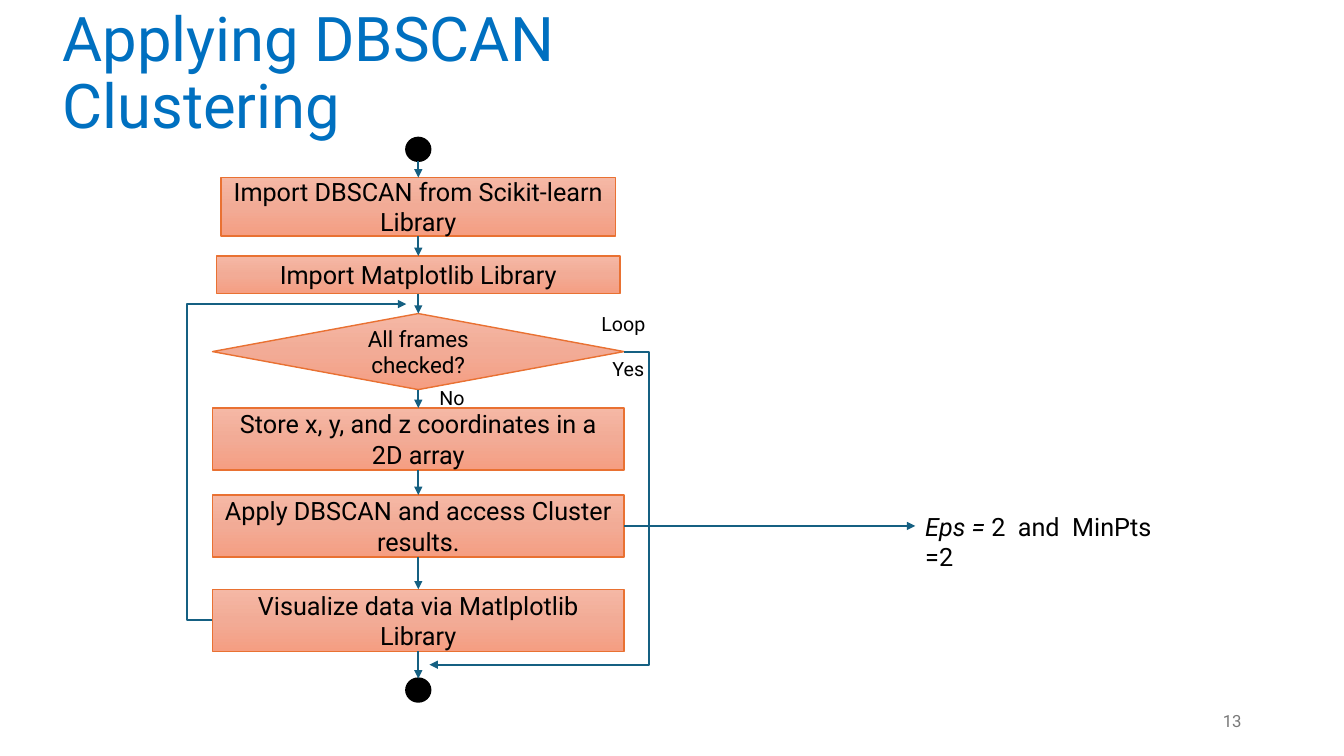
from copy import deepcopy

from pptx import Presentation
from pptx import util as u
from pptx.dml.color import RGBColor
from pptx.enum import shapes, text
from pptx.oxml.ns import qn
from pptx.oxml.xmlchemy import OxmlElement

FONT = "Roboto"
BLACK, BLUE, GREY = "000000", "0070C0", "797979"
ORANGE, TEAL = "E97132", "156082"
GRADIENT = ((0, "F5B8A5"), (0.5, "F2AB96"), (1, "F59E82"))
KIND = shapes.MSO_SHAPE
ALIGN, ANCHOR = text.PP_ALIGN, text.MSO_ANCHOR
TOP, BOTTOM, RIGHT = 0, 2, 3

# Kind, width, top, height, text size and wording of each step
STEPS = (
    (KIND.RECTANGLE, 282, 126.8, 41.8, 18, "Import DBSCAN from Scikit-learn Library"),
    (KIND.RECTANGLE, 288, 182.8, 27, 18, "Import Matplotlib Library"),
    (KIND.DIAMOND, 294, 224, 54.3, 16, "All frames checked?"),
    (KIND.RECTANGLE, 294, 291.5, 44.2, 18, "Store x, y, and z coordinates in a 2D array"),
    (KIND.RECTANGLE, 294, 353.6, 44.2, 18, "Apply DBSCAN and access Cluster results."),
    (KIND.RECTANGLE, 294, 421, 44.2, 18, "Visualize data via Matlplotlib Library"),
)


def color(value):
    return RGBColor.from_string(value)


def place(*lengths):
    return [u.Pt(length) for length in lengths]


def write(shape, *runs, size=18, fill=BLACK, align=ALIGN.LEFT,
          anchor=ANCHOR.TOP, wrap=True, spacing=None):
    """Fill a shape with one paragraph; each run is (wording, italic)."""
    frame = shape.text_frame
    frame.word_wrap = wrap
    frame.vertical_anchor = anchor
    paragraph = frame.paragraphs[0]
    paragraph.alignment = align
    paragraph.line_spacing = spacing
    for wording, italic in runs:
        run = paragraph.add_run()
        run.text = wording
        run.font.name = FONT
        run.font.size = u.Pt(size)
        run.font.italic = italic
        run.font.color.rgb = color(fill)


def add_text(slide, box, *runs, **style):
    write(slide.shapes.add_textbox(*place(*box)), *runs, **style)


def add_step(slide, kind, box, size, wording):
    shape = slide.shapes.add_shape(kind, *place(*box))
    shape.shadow.inherit = False
    shape.line.color.rgb = color(ORANGE)
    shape.line.width = u.Pt(1)
    shape.fill.gradient()
    shape.fill.gradient_angle = 270
    stops = shape._element.spPr.find(".//" + qn("a:gsLst"))
    stops.insert(1, deepcopy(stops[0]))
    for stop, (position, value) in zip(shape.fill.gradient_stops, GRADIENT):
        stop.position = position
        stop.color.rgb = color(value)
    write(shape, (wording, False), size=size, align=ALIGN.CENTER, anchor=ANCHOR.MIDDLE)
    return shape


def add_dot(slide, center, top):
    width, height = 17.3, 16.6
    dot = slide.shapes.add_shape(
        KIND.OVAL, *place(center - width / 2, top, width, height))
    dot.shadow.inherit = False
    dot.fill.solid()
    dot.fill.fore_color.rgb = color(BLACK)
    dot.line.color.rgb = color(BLACK)
    dot.line.width = u.Pt(1.5)
    return dot


def add_arrow(slide, start, end, bend=None):
    """Draw an arrow; bend is the x of the upright part of an elbow."""
    kinds = shapes.MSO_CONNECTOR
    kind = kinds.STRAIGHT if bend is None else kinds.ELBOW
    arrow = slide.shapes.add_connector(kind, *place(*start, *end))
    arrow.line.color.rgb = color(TEAL)
    arrow.line.width = u.Pt(1.5)
    head = OxmlElement("a:tailEnd")
    head.set("type", "triangle")
    arrow.line._get_or_add_ln().append(head)
    properties = arrow._element.spPr
    properties.append(OxmlElement("a:effectLst"))
    if bend is not None:
        share = (bend - start[0]) / (end[0] - start[0])
        guide = OxmlElement("a:gd")
        guide.set("name", "adj1")
        guide.set("fmla", f"val {round(share * 100000)}")
        properties.find(qn("a:prstGeom")).get_or_add_avLst().append(guide)
    return arrow


def add_flowchart(slide, left, top, width, height):
    center = left + width / 2
    add_dot(slide, center, top)
    end_dot = add_dot(slide, center, top + height - 16.6)
    steps = [
        add_step(slide, kind, (center - step_width / 2, step_top, step_width, step_height),
                 size, wording)
        for kind, step_width, step_top, step_height, size, wording in STEPS
    ]

    # Downward flow
    first = add_arrow(slide, (center, top + 16.6), (center, STEPS[0][2]))
    first.end_connect(steps[0], TOP)
    for upper, lower in zip(steps, steps[1:] + [end_dot]):
        arrow = add_arrow(slide, (center, upper.top.pt), (center, lower.top.pt))
        arrow.begin_connect(upper, BOTTOM)
        arrow.end_connect(lower, TOP)

    # Way out of the loop and way back into it
    question, last = steps[2], steps[-1]
    right = left + width
    add_arrow(slide, (right, question.top.pt + question.height.pt / 2),
              (center + 8, top + 376.4), bend=right + 18)
    add_arrow(slide, (left, last.top.pt + last.height.pt / 2),
              (center - 8.6, top + 118.8), bend=left - 18)

    # Branch labels
    for wording, x, y, label_width in (("No", 155, 173.5, 34.6),
                                       ("Loop", 270.7, 121, 46.8),
                                       ("Yes", 278.6, 152.7, 38.2)):
        add_text(slide, (left + x, top + y, label_width, 24.5), (wording, False),
                 size=14, wrap=False)
    return steps[4]


def add_parameters(slide, step, left, top, width, height):
    middle = step.top.pt + step.height.pt / 2
    arrow = add_arrow(slide, (left, middle), (left, middle))
    arrow.begin_connect(step, RIGHT)
    add_text(slide, (left, top, width, height),
             ("Eps = ", True), ("2  and  MinPts =2", False))


def main():
    presentation = Presentation()
    presentation.slide_width, presentation.slide_height = place(960, 540)
    slide = presentation.slides.add_slide(presentation.slide_layouts[6])

    # Title
    add_text(slide, (37.5, 19.4, 539.3, 68.4), ("Applying DBSCAN Clustering", False),
             size=44, fill=BLUE, anchor=ANCHOR.MIDDLE, spacing=0.9)
    # Flowchart and its side note
    cluster_step = add_flowchart(slide, 151.8, 98.4, 294, 402.8)
    add_parameters(slide, cluster_step, 653.8, 361.4, 195.8, 29)
    # Slide number
    add_text(slide, (678, 500.5, 216, 28.8), ("13", False), size=12, fill=GREY,
             align=ALIGN.RIGHT, anchor=ANCHOR.MIDDLE)
    presentation.save("out.pptx")


if __name__ == "__main__":
    main()
